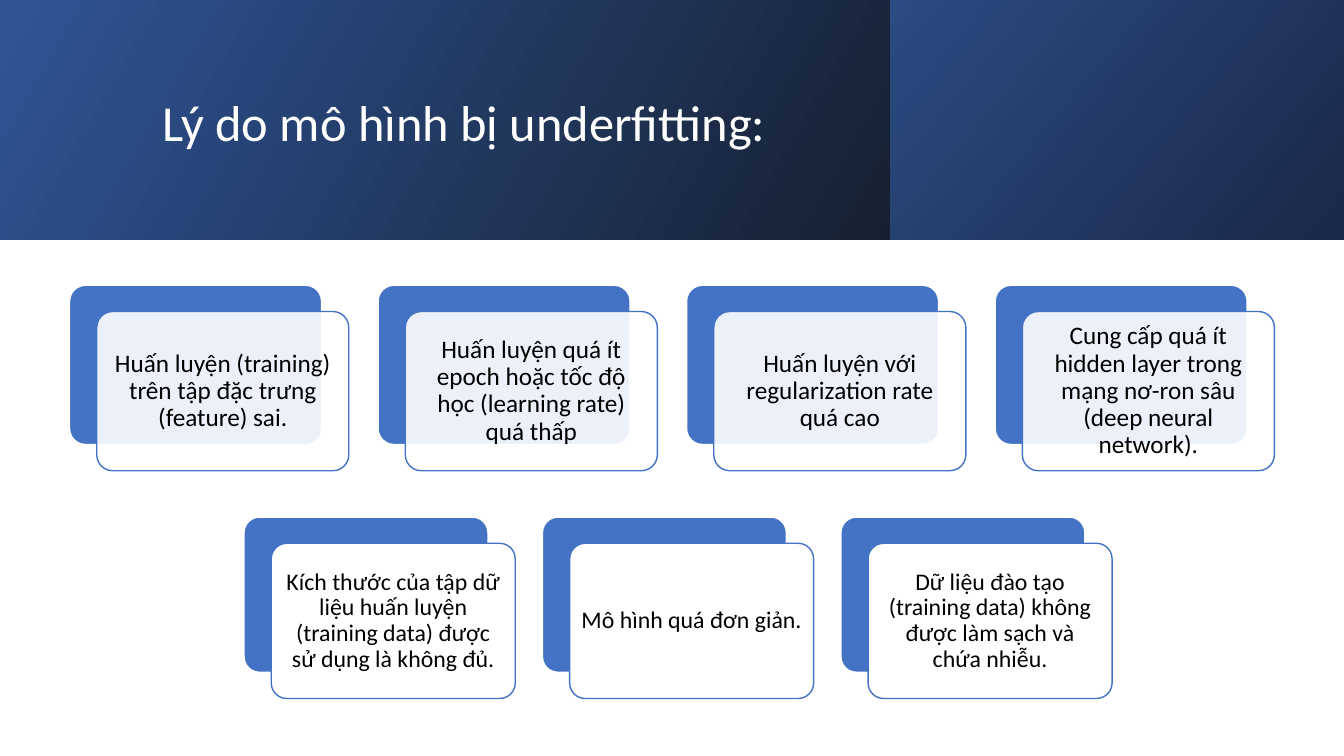
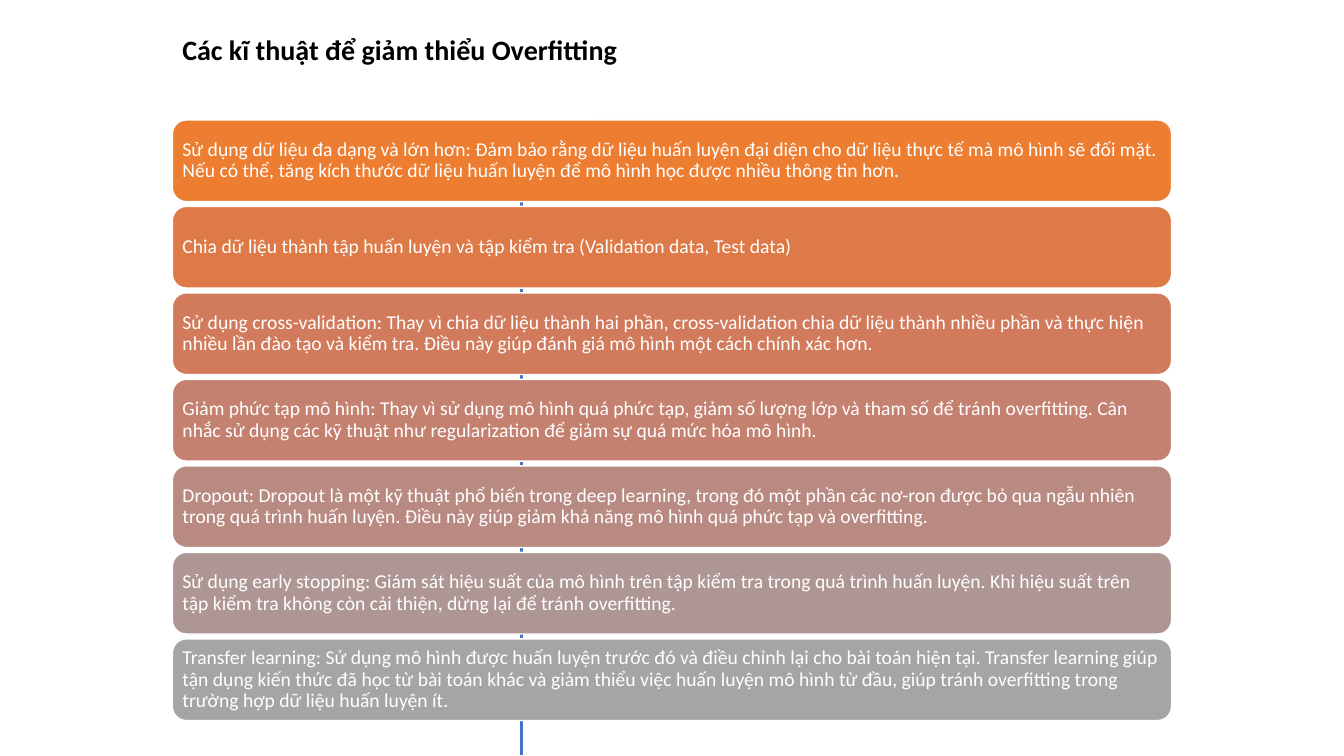
from lxml import etree
from pptx import Presentation
from pptx import util as u
from pptx.dml import color
from pptx.enum import shapes, text
from pptx.oxml import ns

HUES = {
    "blue": "4472C4", "white": "FFFFFF", "black": "000000",
    "royal": "2F5597", "night": "162030",
    "steel": "2C4B82", "navy": "1A2849",
}
FONT = "Calibri"
LEFT, CENTER = text.PP_ALIGN.LEFT, text.PP_ALIGN.CENTER
MIDDLE, TOP = text.MSO_ANCHOR.MIDDLE, text.MSO_ANCHOR.TOP
RECT, ROUND = shapes.MSO_SHAPE.RECTANGLE, shapes.MSO_SHAPE.ROUNDED_RECTANGLE

TITLE = "Lý do mô hình bị underfitting:"
UPPER = [
    "Huấn luyện (training) trên tập đặc trưng (feature) sai.",
    "Huấn luyện quá ít epoch hoặc tốc độ học (learning rate) quá thấp",
    "Huấn luyện với regularization rate quá cao",
    "Cung cấp quá ít hidden layer trong mạng nơ-ron sâu (deep neural network).",
]
LOWER = [
    "Kích thước của tập dữ liệu huấn luyện (training data) được sử dụng là không đủ.",
    "Mô hình quá đơn giản.",
    "Dữ liệu đào tạo (training data) không được làm sạch và chứa nhiễu.",
]
HEADING = "Các kĩ thuật để giảm thiểu Overfitting"
STEPS = [
    ("ED7D31", "Sử dụng dữ liệu đa dạng và lớn hơn: Đảm bảo rằng dữ liệu huấn luyện đại diện "
     "cho dữ liệu thực tế mà mô hình sẽ đối mặt. Nếu có thể, tăng kích thước dữ liệu "
     "huấn luyện để mô hình học được nhiều thông tin hơn."),
    ("DE7A47", "Chia dữ liệu thành tập huấn luyện và tập kiểm tra (Validation data, Test data)"),
    ("D17B5C", "Sử dụng cross-validation: Thay vì chia dữ liệu thành hai phần, cross-validation "
     "chia dữ liệu thành nhiều phần và thực hiện nhiều lần đào tạo và kiểm tra. "
     "Điều này giúp đánh giá mô hình một cách chính xác hơn."),
    ("C48170", "Giảm phức tạp mô hình: Thay vì sử dụng mô hình quá phức tạp, giảm số lượng lớp "
     "và tham số để tránh overfitting. Cân nhắc sử dụng các kỹ thuật như regularization "
     "để giảm sự quá mức hóa mô hình."),
    ("B98A82", "Dropout: Dropout là một kỹ thuật phổ biến trong deep learning, trong đó một phần "
     "các nơ-ron được bỏ qua ngẫu nhiên trong quá trình huấn luyện. Điều này giúp giảm "
     "khả năng mô hình quá phức tạp và overfitting."),
    ("AE9694", "Sử dụng early stopping: Giám sát hiệu suất của mô hình trên tập kiểm tra trong "
     "quá trình huấn luyện. Khi hiệu suất trên tập kiểm tra không còn cải thiện, "
     "dừng lại để tránh overfitting."),
    ("A5A5A5", "Transfer learning: Sử dụng mô hình được huấn luyện trước đó và điều chỉnh lại "
     "cho bài toán hiện tại. Transfer learning giúp tận dụng kiến thức đã học từ bài toán "
     "khác và giảm thiểu việc huấn luyện mô hình từ đầu, giúp tránh overfitting trong "
     "trường hợp dữ liệu huấn luyện ít."),
]


def tint(name):
    return color.RGBColor.from_string(HUES.get(name, name))


def write(shape, words, size=18, hue="black", bold=False, align=LEFT,
          anchor=MIDDLE, inset=None, pitch=0.9):
    frame = shape.text_frame
    frame.word_wrap = True
    frame.vertical_anchor = anchor
    if inset is not None:
        frame.margin_left = frame.margin_right = u.Inches(inset)
        frame.margin_top = frame.margin_bottom = u.Inches(inset)
    para = frame.paragraphs[0]
    para.alignment = align
    para.line_spacing = pitch
    run = para.add_run()
    run.text = words
    run.font.name = FONT
    run.font.size = u.Pt(size)
    run.font.bold = bold
    run.font.color.rgb = tint(hue)


class Deck:
    def __init__(self):
        self.prs = Presentation()
        self.prs.slide_width = u.Inches(13.33)
        self.prs.slide_height = u.Inches(7.5)
        self.slide = None

    def page(self):
        self.slide = self.prs.slides.add_slide(self.prs.slide_layouts[6])

    def shape(self, kind, *box):
        item = self.slide.shapes.add_shape(kind, *map(u.Inches, box))
        item.shadow.inherit = False
        return item

    def band(self, start, end, angle, *box):
        item = self.shape(RECT, *box)
        item.line.fill.background()
        item.fill.gradient()
        item.fill.gradient_angle = angle
        for stop, hue in zip(item.fill.gradient_stops, (start, end)):
            stop.color.rgb = tint(hue)

    def label(self, words, *box, **style):
        write(self.slide.shapes.add_textbox(*map(u.Inches, box)), words, **style)

    def panel(self, fill, edge, *box, round=0.1, alpha=100):
        item = self.shape(ROUND, *box)
        item.adjustments[0] = round
        item.fill.solid()
        item.fill.fore_color.rgb = tint(fill)
        item.line.color.rgb = tint(edge)
        item.line.width = u.Pt(1)
        if alpha < 100:
            node = item.fill._xPr.find(".//" + ns.qn("a:srgbClr"))
            etree.SubElement(node, ns.qn("a:alpha"), val=str(alpha * 1000))
        return item

    def card(self, words, left, top, width, height, size, alpha):
        self.panel("blue", "white", left, top, width, height)
        front = self.panel("white", "blue", left + 0.27, top + 0.26,
                           width, height, alpha=alpha)
        write(front, words, size=size, align=CENTER, inset=0.07)

    def cards(self, items, left, top, width, height, step, size, alpha):
        for spot, words in enumerate(items):
            self.card(words, left + spot * step, top, width, height, size, alpha)

    def line(self, hue, width, *ends):
        item = self.slide.shapes.add_connector(
            shapes.MSO_CONNECTOR.STRAIGHT, *map(u.Inches, ends))
        item.line.color.rgb = tint(hue)
        item.line.width = u.Pt(width)
        etree.SubElement(item._element.spPr, ns.qn("a:effectLst"))


def main():
    deck = Deck()

    deck.page()
    deck.band("royal", "night", 330, 0, 0, 8.84, 2.38)
    deck.band("steel", "navy", 320, 8.83, 0, 4.5, 2.38)
    deck.label(TITLE, 1.51, 0.38, 10.63, 1.72, size=36, hue="white")
    deck.cards(UPPER, 0.69, 2.83, 2.5, 1.58, 3.06, 18, 90)
    deck.cards(LOWER, 2.42, 5.13, 2.42, 1.54, 2.96, 17, 100)

    deck.page()
    deck.line("blue", 2, 5.17, 1.24, 5.17, 7.49)
    for spot, (hue, words) in enumerate(STEPS):
        bar = deck.panel(hue, "white", 1.71, 1.19 + spot * 0.858, 9.91, 0.81, round=0.17)
        write(bar, words, size=14, hue="white", inset=0.06)
    deck.label(HEADING, 1.71, 0.27, 6.67, 0.44, size=20, bold=True, anchor=TOP, pitch=1.0)

    deck.prs.save("out.pptx")


if __name__ == "__main__":
    main()
